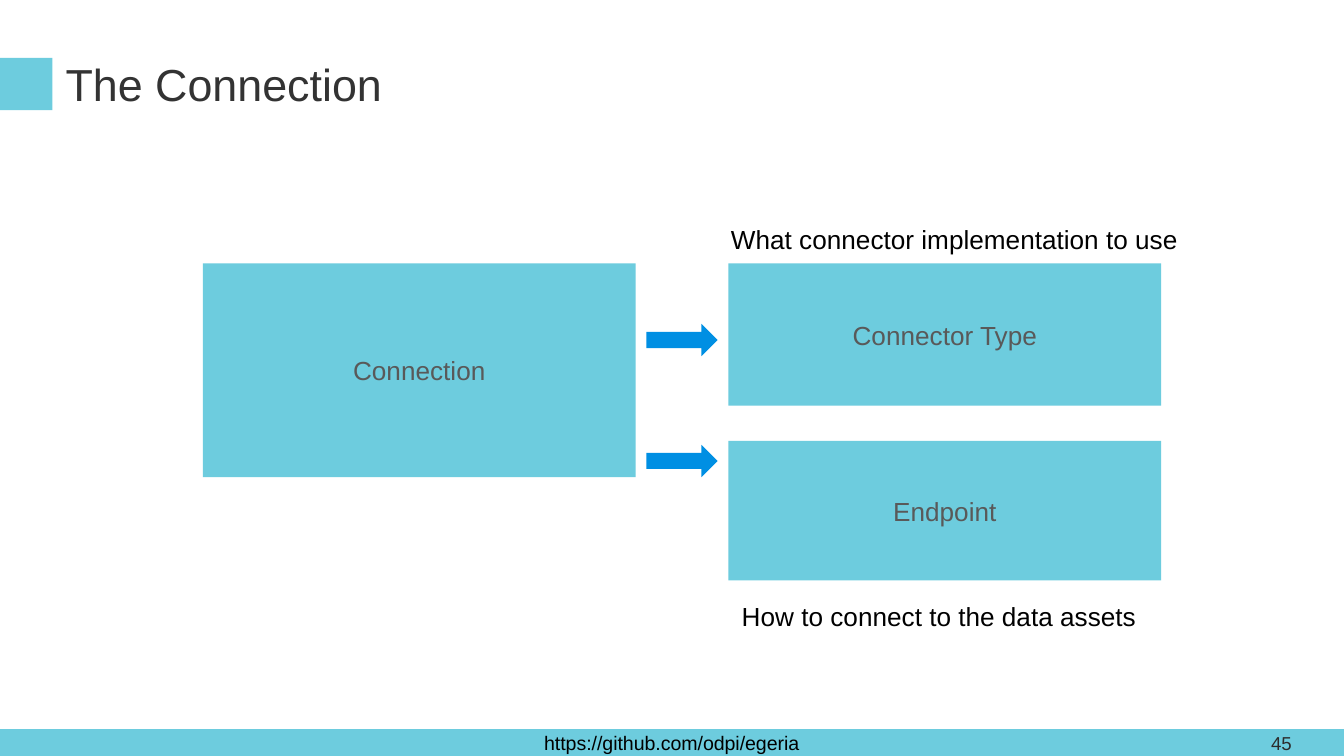
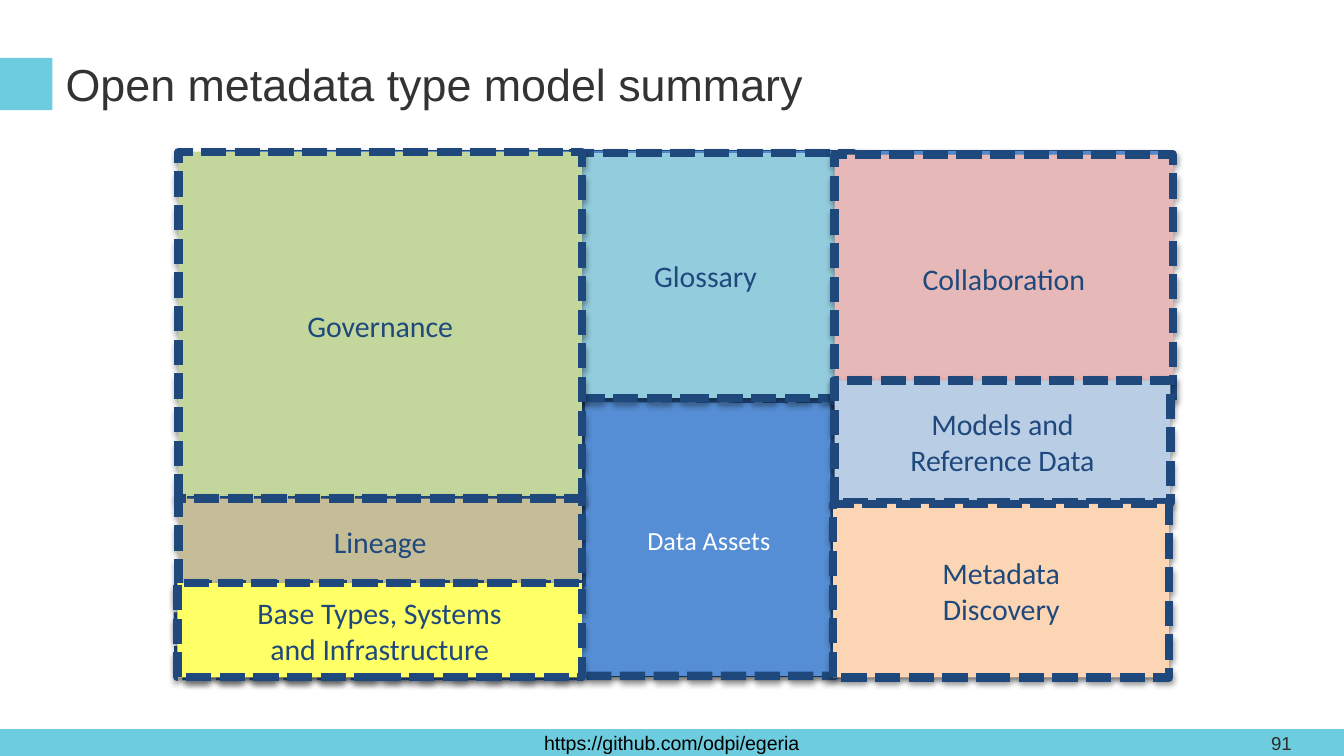
from dataclasses import dataclass
from lxml.etree import SubElement
from pptx import Presentation
from pptx.dml.color import RGBColor
from pptx.enum.dml import MSO_LINE_DASH_STYLE as Dash
from pptx.enum.shapes import MSO_SHAPE as Shape
from pptx.enum.text import MSO_ANCHOR as Anchor, MSO_AUTO_SIZE as AutoSize, PP_ALIGN as Align
from pptx.oxml.ns import qn
from pptx.util import Inches, Pt


@dataclass(frozen=True)
class Theme:
    font: str = "Arial"
    model_font: str = "Calibri"
    band: str = "6DCCDE"
    arrow: str = "008FE3"
    title: str = "333333"
    number: str = "2C2C2C"
    label: str = "595959"
    black: str = "000000"
    white: str = "FFFFFF"
    navy: str = "1F497D"
    assets: str = "558ED5"
    title_size: float = 24
    area_size: float = 16
    body_size: float = 14
    footer_size: float = 10.5
    number_size: float = 10


theme = Theme()


def paint(shape, fill, line_width=0, dashed=False):
    shape.fill.solid()
    shape.fill.fore_color.rgb = RGBColor.from_string(fill)
    shape.shadow.inherit = False
    if not line_width:
        shape.line.fill.background()
        return
    shape.line.color.rgb = RGBColor.from_string(theme.navy)
    shape.line.width = Pt(line_width)
    if dashed:
        shape.line.dash_style = Dash.SQUARE_DOT
    effects = shape._element.spPr.find(qn("a:effectLst"))
    shadow = SubElement(effects, qn("a:outerShdw"), blurRad=str(Pt(3.1)),
                        dist=str(Pt(1.8)), dir="5400000", rotWithShape="0")
    color = SubElement(shadow, qn("a:srgbClr"), val=theme.black)
    SubElement(color, qn("a:alpha"), val="35000")


def write(shape, text, size, color, font=theme.font, align=Align.CENTER,
          anchor=Anchor.MIDDLE, inset=0.05, wrap=True):
    frame = shape.text_frame
    frame.text = text
    frame.word_wrap = wrap
    frame.auto_size = AutoSize.NONE if wrap else AutoSize.SHAPE_TO_FIT_TEXT
    frame.vertical_anchor = anchor
    frame.margin_top = frame.margin_bottom = Inches(inset)
    for para in frame.paragraphs:
        para.alignment = align
        para.font.name = font
        para.font.size = Pt(size)
        para.font.color.rgb = RGBColor.from_string(color)


deck = Presentation()
deck.slide_width = Inches(10)
deck.slide_height = deck.slide_width * 9 // 16
footer_height = Inches(0.2)
footer_top = deck.slide_height - footer_height

pages = []
for title, number in [("The Connection", "45"), ("Open metadata type model summary", "91")]:
    page = deck.slides.add_slide(deck.slide_layouts[6])
    pages.append(page)
    footer = page.shapes.add_shape(
        Shape.RECTANGLE, 0, footer_top, deck.slide_width, footer_height)
    paint(footer, theme.band)
    write(footer, "https://github.com/odpi/egeria", theme.footer_size, theme.black)
    marker = page.shapes.add_shape(Shape.RECTANGLE, 0, Inches(0.43), Inches(0.39), Inches(0.39))
    paint(marker, theme.band)
    heading = page.shapes.add_textbox(Inches(0.39), Inches(0.32), Inches(9.27), Inches(0.62))
    write(heading, title, theme.title_size, theme.title, align=Align.LEFT,
          anchor=Anchor.TOP, inset=0.1)
    page_number = page.shapes.add_textbox(Inches(9.36), footer_top, Inches(0.6), footer_height)
    write(page_number, number, theme.number_size, theme.number, align=Align.LEFT, inset=0.1)

connection_page, model_page = pages

for name, left, top, height in [
    ("Connection", 1.51, 1.96, 1.59),
    ("Connector Type", 5.42, 1.96, 1.06),
    ("Endpoint", 5.42, 3.28, 1.04),
]:
    box = connection_page.shapes.add_shape(
        Shape.RECTANGLE, Inches(left), Inches(top), Inches(3.22), Inches(height))
    paint(box, theme.band)
    write(box, name, theme.body_size, theme.label)

for top in (2.41, 3.31):
    arrow = connection_page.shapes.add_shape(
        Shape.RIGHT_ARROW, Inches(4.81), Inches(top), Inches(0.53), Inches(0.24))
    paint(arrow, theme.arrow)

for text, left, top, width in [
    ("What connector implementation to use", 5.34, 1.61, 3.54),
    ("How to connect to the data assets", 5.42, 4.42, 3.15),
]:
    caption = connection_page.shapes.add_textbox(
        Inches(left), Inches(top), Inches(width), Inches(0.34))
    write(caption, text, theme.body_size, theme.black, align=Align.LEFT,
          anchor=Anchor.TOP, wrap=False)

backdrop = model_page.shapes.add_shape(
    Shape.RECTANGLE, Inches(1.53), Inches(1.12), Inches(7.15), Inches(3.91))
paint(backdrop, theme.assets, 0.75)

corners = [(4.32, 2.96), (6.21, 2.97), (6.21, 5.03), (1.33, 5.03), (1.32, 4.37)]
outline = model_page.shapes.build_freeform(Inches(4.33), Inches(4.36))
outline.add_line_segments([(Inches(x), Inches(y)) for x, y in corners], close=True)
paint(outline.convert_to_shape(), theme.assets, 4.5, dashed=True)

for name, fill, left, top, width, height in [
    ("Glossary", "93CDDD", 4.15, 1.14, 2.2, 1.82),
    ("Collaboration", "E6B9B8", 6.21, 1.15, 2.52, 1.84),
    ("Governance", "C3D69B", 1.33, 1.13, 3, 2.59),
    ("Models and\nReference Data", "B9CDE5", 6.21, 2.83, 2.5, 0.91),
    ("Metadata\nDiscovery", "FCD5B5", 6.2, 3.75, 2.5, 1.29),
    ("Lineage", "C4BD97", 1.33, 3.71, 3, 0.64),
    ("Base Types, Systems\nand Infrastructure", "FFFF66", 1.32, 4.34, 3.01, 0.7),
]:
    area = model_page.shapes.add_shape(
        Shape.RECTANGLE, Inches(left), Inches(top), Inches(width), Inches(height))
    paint(area, fill, 4.5, dashed=True)
    write(area, name, theme.area_size, theme.navy, theme.model_font)

assets_label = model_page.shapes.add_textbox(
    Inches(4.71), Inches(3.85), Inches(1.13), Inches(0.34))
write(assets_label, "Data Assets", theme.body_size, theme.white, theme.model_font,
      anchor=Anchor.TOP, wrap=False)

deck.save("out.pptx")
